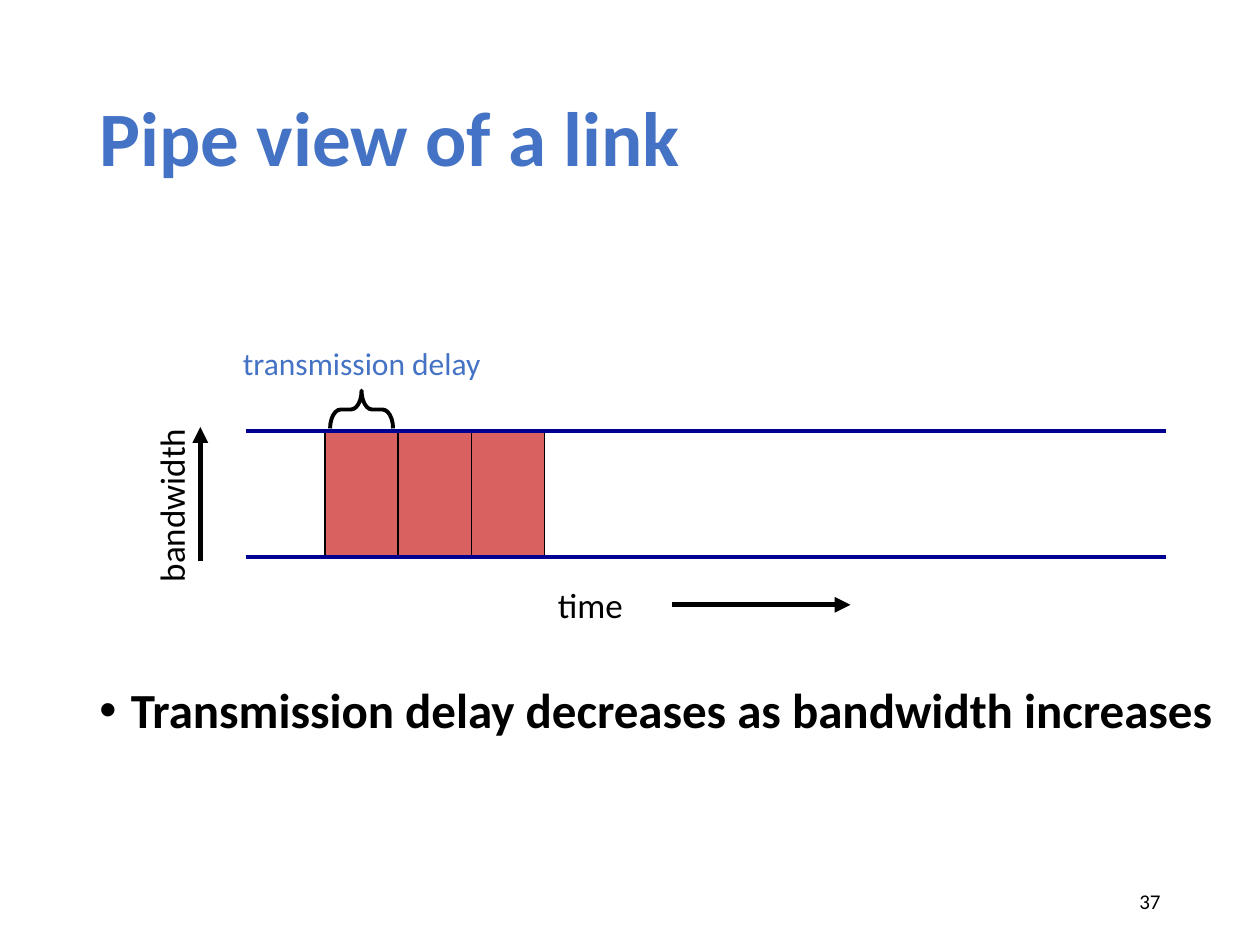
from lxml import etree
from pptx import Presentation
from pptx.dml.color import RGBColor
from pptx.enum import shapes, text
from pptx.oxml.ns import qn
from pptx.util import Inches, Pt


def hue(code):
    return RGBColor.from_string(code)


def write(box, words, size=20, color="000000", bold=False, align="LEFT",
          anchor="TOP", wrap=False, space=1.0, bullet=None):
    frame = box.text_frame
    frame.word_wrap = wrap
    frame.auto_size = text.MSO_AUTO_SIZE.NONE
    frame.vertical_anchor = getattr(text.MSO_ANCHOR, anchor)
    par = frame.paragraphs[0]
    par.alignment = getattr(text.PP_ALIGN, align)
    par.line_spacing = space
    if bullet:
        props = par._p.get_or_add_pPr()
        props.set("marL", str(Inches(0.25)))
        props.set("indent", str(-Inches(0.25)))
        etree.SubElement(props, qn("a:buFont")).set("typeface", "Arial")
        etree.SubElement(props, qn("a:buChar")).set("char", bullet)
    run = par.add_run()
    run.text = words
    run.font.name = "Calibri"
    run.font.size = Pt(size)
    run.font.bold = bold
    run.font.color.rgb = hue(color)


deck = Presentation()
deck.slide_width, deck.slide_height = Inches(10), Inches(7.5)
slide = deck.slides.add_slide(deck.slide_layouts[5])
parts = slide.shapes

title = parts.title
title.left, title.top = Inches(0.69), Inches(0.4)
title.width, title.height = Inches(8.62), Inches(1.45)
write(title, "Pipe view of a link", size=44, color="4472C4", bold=True,
      anchor="MIDDLE", wrap=True, space=0.9)

top, base = 3.42, 4.42
step = 0.58
for i in range(3):
    packet = parts.add_shape(shapes.MSO_SHAPE.RECTANGLE, Inches(2.58 + i * step),
                             Inches(top), Inches(step), Inches(base - top))
    packet.shadow.inherit = False
    packet.fill.solid()
    packet.fill.fore_color.rgb = hue("D9615F")
    packet.line.color.rgb = hue("000000")
    packet.line.width = Pt(0.75)

lines = [
    (1.95, top, 9.25, top, "000090", 2.25, False),
    (1.95, base, 9.25, base, "000090", 2.25, False),
    (5.33, 4.8, 6.75, 4.8, "000000", 3, True),
    (1.59, 4.45, 1.59, 3.39, "000000", 3, True),
]
for x1, y1, x2, y2, color, width, arrow in lines:
    line = parts.add_connector(shapes.MSO_CONNECTOR.STRAIGHT, Inches(x1), Inches(y1),
                               Inches(x2), Inches(y2))
    line.line.color.rgb = hue(color)
    line.line.width = Pt(width)
    if arrow:
        etree.SubElement(line.line._get_or_add_ln(), qn("a:tailEnd")).set("type", "triangle")
    etree.SubElement(line._element.spPr, qn("a:effectLst"))

brace = parts.add_shape(shapes.MSO_SHAPE.RIGHT_BRACE, Inches(2.72), Inches(3),
                        Inches(0.3), Inches(0.5))
brace.rotation = 270
brace.adjustments[0] = 0.28
brace.adjustments[1] = 0.5
brace.shadow.inherit = False
brace.fill.background()
brace.line.color.rgb = hue("000000")
brace.line.width = Pt(2.25)

labels = [
    ("time", 4.33, 4.58, 0.78, 0.44, 0, {}),
    ("bandwidth", 0.56, 3.7, 1.6, 0.44, 270, {}),
    ("transmission delay", 1.83, 2.68, 2.11, 0.4, 0, dict(size=18, color="4472C4")),
    ("Transmission delay decreases as bandwidth increases", 0.69, 5.4, 9.06, 0.6, 0,
     dict(size=28, bold=True, wrap=True, space=0.9, bullet="•")),
    ("37", 7.06, 6.95, 2.25, 0.4, 0,
     dict(size=12, align="RIGHT", anchor="MIDDLE", wrap=True)),
]
for words, x, y, w, h, turn, style in labels:
    box = parts.add_textbox(Inches(x), Inches(y), Inches(w), Inches(h))
    box.rotation = turn
    write(box, words, **style)

deck.save("out.pptx")
